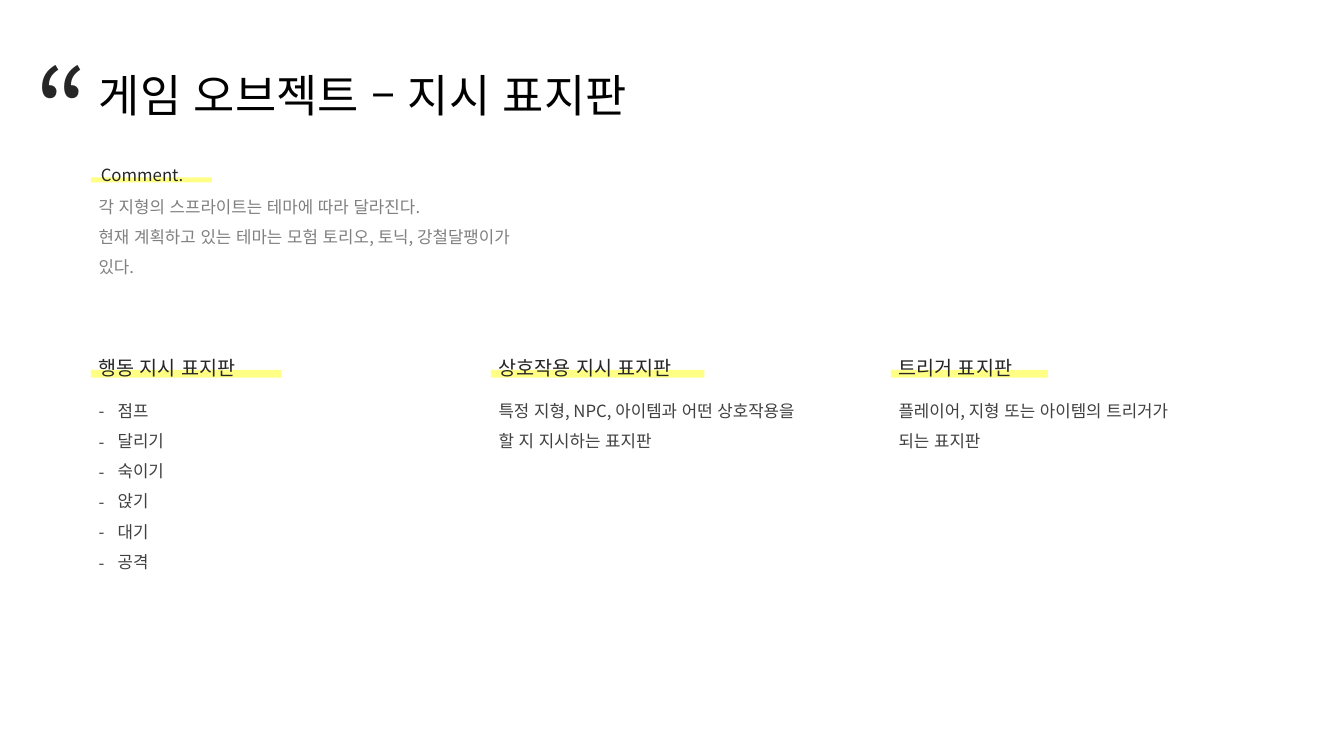
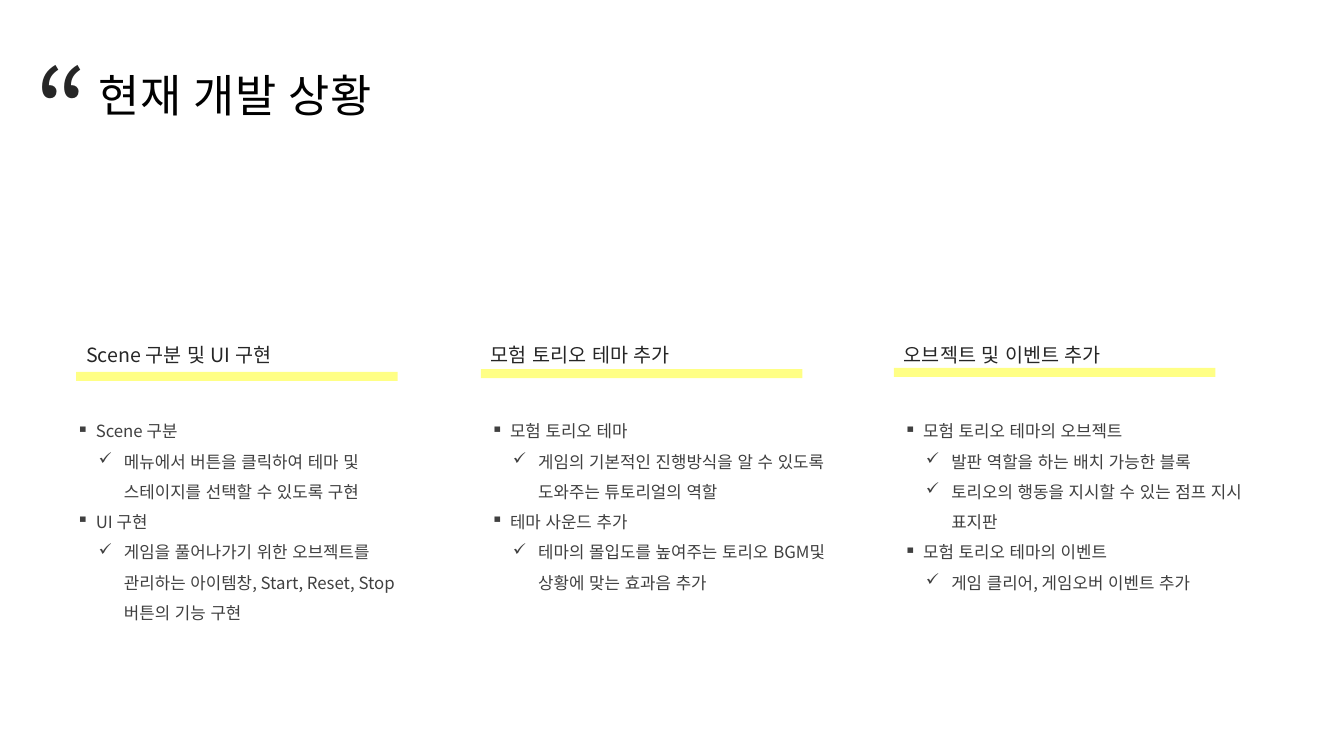
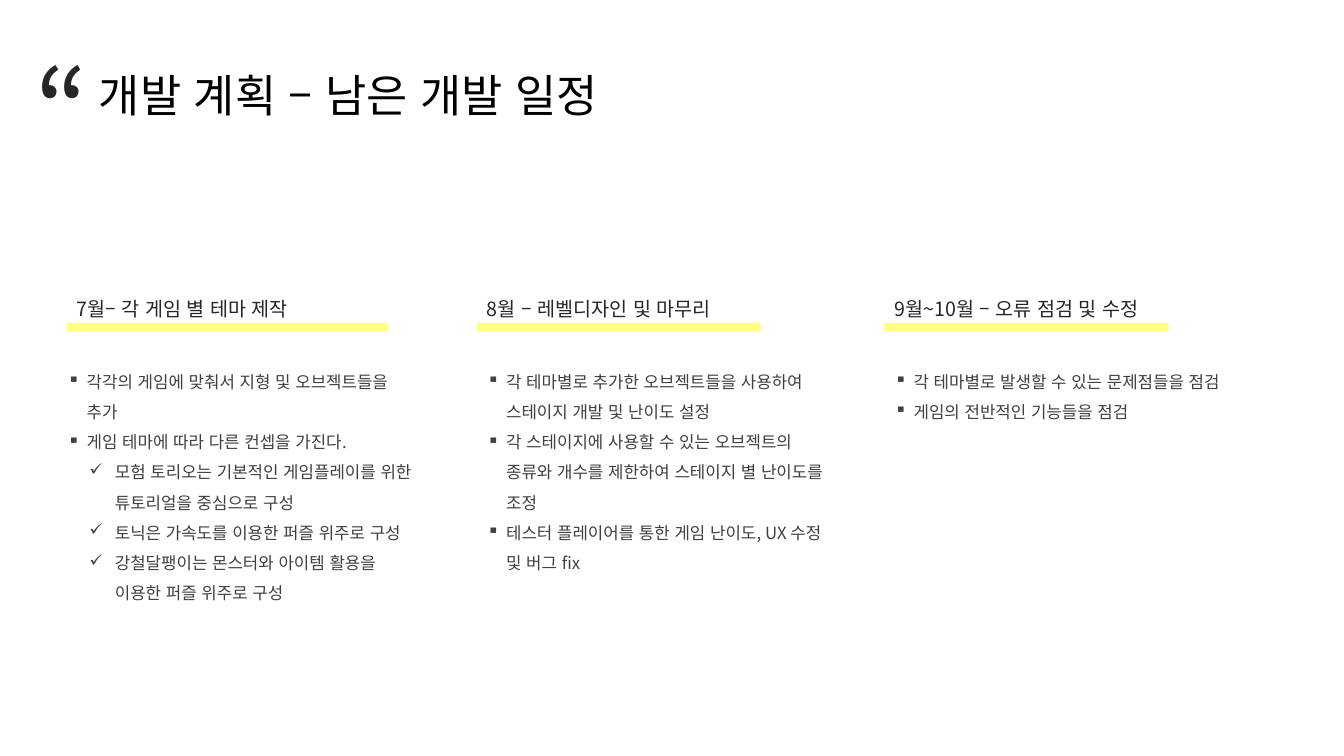
from dataclasses import dataclass

from lxml import etree
from pptx import Presentation
from pptx import util as u
from pptx.dml.color import RGBColor
from pptx.enum import lang, shapes, text
from pptx.oxml import ns


@dataclass(frozen=True)
class Theme:
    font: str = "Noto Sans CJK KR"
    symbol_font: str = "OpenSymbol"
    title: tuple = (32, "000000")
    quote: tuple = (80, "262626")
    heading: tuple = (14, "262626")
    label: tuple = (12, "262626")
    body: tuple = (12, "404040")
    comment: tuple = (12, "808080")
    marker: str = "FFFF00"
    marker_alpha: int = 48
    line_spacing: float = 1.5


@dataclass(frozen=True)
class Column:
    heading: str
    items: tuple
    left: float
    band_width: float
    band_top: float
    list_shift: float = 0


@dataclass(frozen=True)
class Board:
    title: str
    columns: tuple
    heading_top: float
    list_top: float
    list_width: float
    band_shift: float = 0
    band_height: float = 0.23
    comment: tuple = ()


THEME = Theme()
COMPARISON_LAYOUT = 4
HEADING_WIDTH = 8.1
HEADING_HEIGHT = 1.07
LIST_HEIGHT = 6

PLAIN = (None, None, 0, 0, 0)
DASH = ("-", THEME.font, 0, 0.48, -0.48)
SQUARE = ("▪", THEME.symbol_font, 0, 0.48, -0.48)
CHECK = ("✓", THEME.symbol_font, 1, 1.19, -0.64)


def assign(target, values):
    for name, value in values.items():
        setattr(target, name, value)


def place(box, left, top, width, height):
    sides = {"left": left, "top": top, "width": width, "height": height}
    assign(box, {name: u.Cm(value) for name, value in sides.items()})


def add_node(parent, tag, **attributes):
    return etree.SubElement(parent, ns.qn(tag), attributes)


def set_bullet(para, bullet):
    character, font, level, margin, indent = bullet
    para.level = level
    properties = para._p.get_or_add_pPr()
    properties.set("marL", str(u.Cm(margin)))
    properties.set("indent", str(u.Cm(indent)))
    if character:
        add_node(properties, "a:buFont", typeface=font)
        add_node(properties, "a:buChar", char=character)
    else:
        add_node(properties, "a:buNone")


def write(box, lines, style, spacing=THEME.line_spacing):
    size, colour = style
    frame = box.text_frame
    assign(frame, {
        "word_wrap": True,
        "auto_size": text.MSO_AUTO_SIZE.NONE,
        "vertical_anchor": text.MSO_ANCHOR.TOP,
    })
    for number, (bullet, words) in enumerate(lines):
        para = frame.add_paragraph() if number else frame.paragraphs[0]
        assign(para, {
            "alignment": text.PP_ALIGN.LEFT,
            "line_spacing": spacing,
            "space_before": u.Pt(0),
            "space_after": u.Pt(0),
        })
        set_bullet(para, bullet)
        span = para.add_run()
        span.text = words
        assign(span.font, {
            "name": THEME.font,
            "size": u.Pt(size),
            "bold": False,
            "language_id": lang.MSO_LANGUAGE_ID.KOREAN,
        })
        span.font.color.rgb = RGBColor.from_string(colour)
        add_node(span._r.get_or_add_rPr(), "a:ea", typeface=THEME.font)


def add_text(page, words, style, area, spacing=THEME.line_spacing):
    box = page.shapes.add_textbox(*map(u.Cm, area))
    write(box, [(PLAIN, words)], style, spacing)


def add_band(page, *area):
    band = page.shapes.add_shape(shapes.MSO_SHAPE.RECTANGLE, *map(u.Cm, area))
    band.shadow.inherit = False
    band.line.fill.background()
    band.fill.solid()
    band.fill.fore_color.rgb = RGBColor.from_string(THEME.marker)
    colour = band._element.spPr.find(".//" + ns.qn("a:srgbClr"))
    add_node(colour, "a:alpha", val=str(THEME.marker_alpha * 1000))


def add_header(page, title):
    place(page.shapes.title, 2.24, 1.57, 16.71, 1.63)
    write(page.shapes.title, [(PLAIN, title)], THEME.title, 1.0)
    add_text(page, "“", THEME.quote, (0.64, 0.89, 2.11, 3.68), 1.0)


def add_column(page, body, board, column):
    add_band(page, column.left + board.band_shift, column.band_top,
             column.band_width, board.band_height)
    add_text(page, column.heading, THEME.heading,
             (column.left, board.heading_top, HEADING_WIDTH, HEADING_HEIGHT))
    place(body, column.left + column.list_shift, board.list_top,
          board.list_width, LIST_HEIGHT)
    write(body, column.items, THEME.body)


def add_comment(page, body, lines):
    add_band(page, 2.29, 4.47, 3.05, 0.13)
    add_text(page, "Comment.", THEME.label, (2.29, 3.78, 7.7, 0.94))
    place(body, 2.23, 4.57, 11.76, 2.6)
    write(body, [(PLAIN, line) for line in lines], THEME.comment)


def add_board(deck, board):
    page = deck.slides.add_slide(deck.slide_layouts[COMPARISON_LAYOUT])
    add_header(page, board.title)
    *bodies, comment_body = list(page.placeholders)[1:]
    for body, column in zip(bodies, board.columns):
        add_column(page, body, board, column)
    if board.comment:
        add_comment(page, comment_body, board.comment)
    else:
        comment_body._element.getparent().remove(comment_body._element)


SIGNS = Board(
    title="게임 오브젝트 – 지시 표지판",
    heading_top=8.56, list_top=9.71, list_width=8.1,
    band_shift=0.06, band_height=0.2,
    comment=(
        "각 지형의 스프라이트는 테마에 따라 달라진다.",
        "현재 계획하고 있는 테마는 모험 토리오, 토닉, 강철달팽이가 있다.",
    ),
    columns=(
        Column("행동 지시 표지판", tuple(
            (DASH, action)
            for action in ("점프", "달리기", "숙이기", "앉기", "대기", "공격")
        ), 2.23, 4.8, 9.32),
        Column("상호작용 지시 표지판", (
            (PLAIN, "특정 지형, NPC, 아이템과 어떤 상호작용을 할 지 지시하는 표지판"),
        ), 12.31, 5.38, 9.32),
        Column("트리거 표지판", (
            (PLAIN, "플레이어, 지형 또는 아이템의 트리거가 되는 표지판"),
        ), 22.39, 3.96, 9.32),
    ),
)

STATUS = Board(
    title="현재 개발 상황",
    heading_top=8.22, list_top=10.23, list_width=9.2,
    columns=(
        Column("Scene 구분 및 UI 구현", (
            (SQUARE, "Scene 구분"),
            (CHECK, "메뉴에서 버튼을 클릭하여 테마 및 스테이지를 선택할 수 있도록 구현"),
            (SQUARE, "UI 구현"),
            (CHECK, "게임을 풀어나가기 위한 오브젝트를 관리하는 아이템창, "
                    "Start, Reset, Stop 버튼의 기능 구현"),
        ), 1.92, 8.1, 9.37, -0.24),
        Column("모험 토리오 테마 추가", (
            (SQUARE, "모험 토리오 테마"),
            (CHECK, "게임의 기본적인 진행방식을 알 수 있도록 도와주는 튜토리얼의 역할"),
            (SQUARE, "테마 사운드 추가"),
            (CHECK, "테마의 몰입도를 높여주는 토리오 BGM및 상황에 맞는 효과음 추가"),
        ), 12.12, 8.1, 9.3),
        Column("오브젝트 및 이벤트 추가", (
            (SQUARE, "모험 토리오 테마의 오브젝트"),
            (CHECK, "발판 역할을 하는 배치 가능한 블록"),
            (CHECK, "토리오의 행동을 지시할 수 있는 점프 지시 표지판"),
            (SQUARE, "모험 토리오 테마의 이벤트"),
            (CHECK, "게임 클리어, 게임오버 이벤트 추가"),
        ), 22.53, 8.1, 9.27),
    ),
)

SCHEDULE = Board(
    title="개발 계획 – 남은 개발 일정",
    heading_top=7.06, list_top=8.98, list_width=9.22,
    columns=(
        Column("7월– 각 게임 별 테마 제작", (
            (SQUARE, "각각의 게임에 맞춰서 지형 및 오브젝트들을 추가"),
            (SQUARE, "게임 테마에 따라 다른 컨셉을 가진다."),
            (CHECK, "모험 토리오는 기본적인 게임플레이를 위한 튜토리얼을 중심으로 구성"),
            (CHECK, "토닉은 가속도를 이용한 퍼즐 위주로 구성"),
            (CHECK, "강철달팽이는 몬스터와 아이템 활용을 이용한 퍼즐 위주로 구성"),
        ), 1.68, 8.1, 8.13, -0.23),
        Column("8월 – 레벨디자인 및 마무리", (
            (SQUARE, "각 테마별로 추가한 오브젝트들을 사용하여 스테이지 개발 및 난이도 설정"),
            (SQUARE, "각 스테이지에 사용할 수 있는 오브젝트의 종류와 개수를 제한하여 "
                     "스테이지 별 난이도를 조정"),
            (SQUARE, "테스터 플레이어를 통한 게임 난이도, UX 수정 및 버그 fix"),
        ), 12.02, 7.16, 8.13),
        Column("9월~10월 – 오류 점검 및 수정", (
            (SQUARE, "각 테마별로 발생할 수 있는 문제점들을 점검"),
            (SQUARE, "게임의 전반적인 기능들을 점검"),
        ), 22.29, 7.16, 8.13),
    ),
)


def main():
    deck = Presentation()
    assign(deck, {"slide_width": u.Cm(33.87), "slide_height": u.Cm(19.05)})
    for board in (SIGNS, STATUS, SCHEDULE):
        add_board(deck, board)
    deck.save("out.pptx")


if __name__ == "__main__":
    main()
